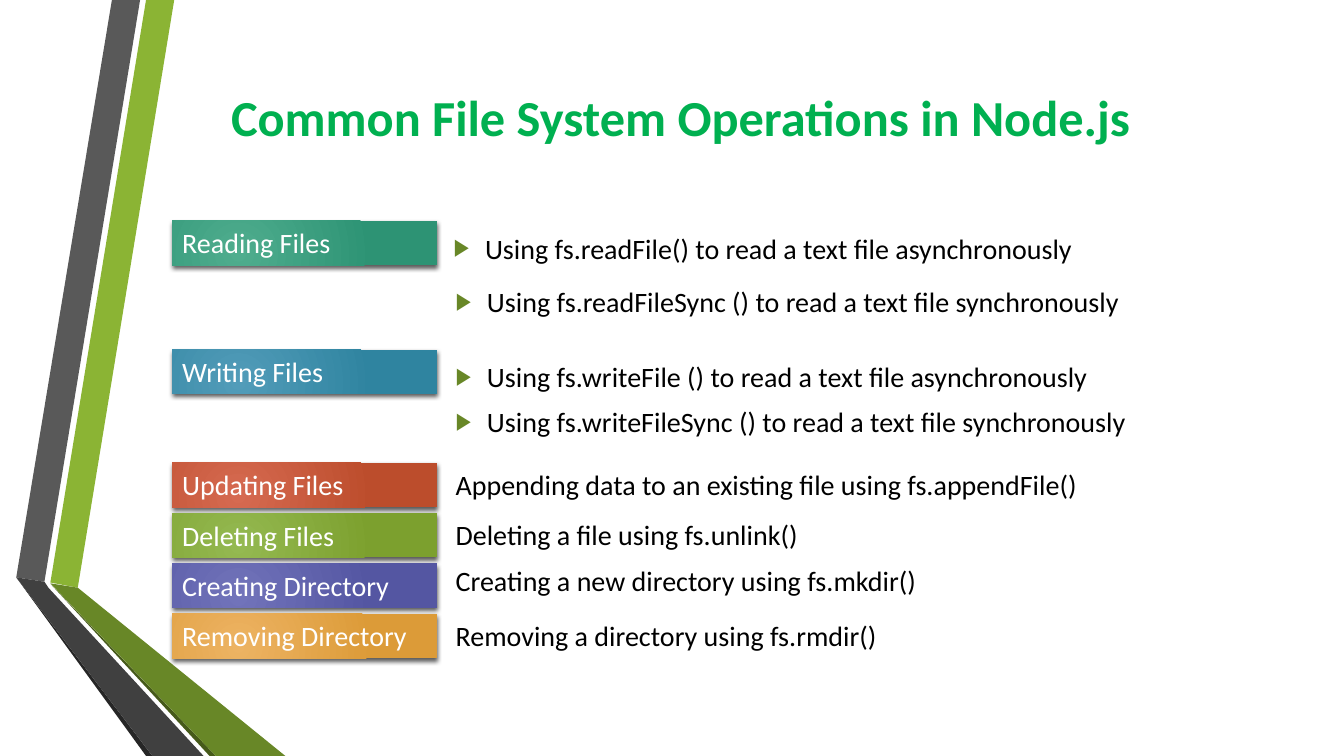
"""Build a slide that lists common file system operations in Node.js."""
import pptx
import pptx.dml.color
import pptx.enum.shapes
import pptx.enum.text
import pptx.oxml
import pptx.oxml.ns
import pptx.util

Cm = pptx.util.Cm
Pt = pptx.util.Pt
RGBColor = pptx.dml.color.RGBColor
ANCHOR = pptx.enum.text.MSO_ANCHOR
SPACE = pptx.oxml.ns.nsdecls("a")

WHITE = RGBColor(0xFF, 0xFF, 0xFF)
BLACK = RGBColor(0x00, 0x00, 0x00)
GREEN = RGBColor(0x00, 0xB0, 0x50)
LIME = RGBColor(0x8B, 0xB4, 0x34)
OLIVE = RGBColor(0x68, 0x87, 0x27)
MOSS = RGBColor(0x46, 0x5A, 0x1A)
GREY = RGBColor(0x59, 0x59, 0x59)
DARK = RGBColor(0x40, 0x40, 0x40)
COAL = RGBColor(0x26, 0x26, 0x26)
TEAL = RGBColor(0x4F, 0xAD, 0x8E), RGBColor(0x2D, 0x93, 0x74)
BLUE = RGBColor(0x52, 0x9C, 0xB9), RGBColor(0x2F, 0x84, 0xA0)
RED = RGBColor(0xD6, 0x6A, 0x51), RGBColor(0xBC, 0x4D, 0x2C)
LEAF = RGBColor(0x94, 0xB9, 0x51), RGBColor(0x7C, 0xA0, 0x2E)
VIOLET = RGBColor(0x71, 0x73, 0xBA), RGBColor(0x54, 0x56, 0xA2)
AMBER = RGBColor(0xED, 0xB3, 0x63), RGBColor(0xDC, 0x9B, 0x38)

GLOW = (f'<a:path {SPACE} path="circle"><a:fillToRect l="50000" t="100000" '
        'r="100000" b="50000"/></a:path>')
SHADE = (f'<a:outerShdw {SPACE} blurRad="38100" dist="25400" dir="5400000" '
         'rotWithShape="0"><a:srgbClr val="000000"><a:alpha val="64000"/>'
         '</a:srgbClr></a:outerShdw>')
BULLET = (f'<a:buClr {SPACE}><a:srgbClr val="{OLIVE}"/></a:buClr>',
          f'<a:buSzPct {SPACE} val="85000"/>',
          f'<a:buFont {SPACE} typeface="Calibri"/>',
          f'<a:buChar {SPACE} char="▶"/>')

deck = pptx.Presentation()
deck.slide_width = Cm(33.86)
deck.slide_height = Cm(19.05)
slide = deck.slides.add_slide(deck.slide_layouts[6])
shapes = slide.shapes


def write(shape, text, size, color, anchor):
    """Put one line of text in a shape and return its paragraph."""
    frame = shape.text_frame
    frame.word_wrap = True
    frame.vertical_anchor = anchor
    line = frame.paragraphs[0]
    line.text = text
    line.alignment = pptx.enum.text.PP_ALIGN.LEFT
    font = line.runs[0].font
    font.name = "Calibri"
    font.size = Pt(size)
    font.color.rgb = color
    return line


bands = [
    (LIME, [(1.27, 14.68), (1.96, 14.81), (4.39, 0), (3.68, 0)]),
    (GREY, [(3.53, 0), (2.82, 0), (0.41, 14.55), (1.12, 14.66)]),
    (COAL, [(0.41, 14.55), (3.68, 19.05), (3.84, 19.05)]),
    (MOSS, [(1.27, 14.71), (5.28, 19.05), (5.44, 19.05)]),
    (OLIVE, [(1.27, 14.7), (5.44, 19.05), (7.19, 19.05), (1.96, 14.81)]),
    (DARK, [(5.13, 19.05), (1.22, 14.81), (1.12, 14.66), (0.41, 14.55),
            (3.84, 19.05)]),
]
for color, spots in bands:
    spots = [(Cm(x), Cm(y)) for x, y in spots]
    pen = shapes.build_freeform(*spots[0])
    pen.add_line_segments(spots[1:], close=True)
    band = pen.convert_to_shape()
    band.shadow.inherit = False
    band.fill.solid()
    band.fill.fore_color.rgb = color
    band.line.fill.background()

title = shapes.add_textbox(Cm(4.95), Cm(2.11), Cm(24.41), Cm(1.65))
line = write(title, "Common File System Operations in Node.js", 36, GREEN,
             ANCHOR.MIDDLE)
line.alignment = pptx.enum.text.PP_ALIGN.CENTER
line.runs[0].font.bold = True

STEP = 1.27
LAST = 11.66
topics = [
    ("Reading Files", TEAL, 5.56, [
        (11.18, 5.56, 17.25,
         "Using fs.readFile() to read a text file asynchronously"),
        (11.23, 6.91, 18.31,
         "Using fs.readFileSync () to read a text file synchronously")]),
    ("Writing Files", BLUE, 8.81, [
        (11.23, 8.79, 18.31,
         "Using fs.writeFile () to read a text file asynchronously"),
        (11.23, 9.93, 18.31,
         "Using fs.writeFileSync () to read a text file synchronously")]),
    ("Updating Files", RED, LAST, [
        (11.23, 11.53, 17.83,
         "Appending data to an existing file using fs.appendFile()")]),
    ("Deleting Files", LEAF, LAST + STEP, [
        (11.23, 12.78, 10.24, "Deleting a file using fs.unlink()")]),
    ("Creating Directory", VIOLET, LAST + 2 * STEP, [
        (11.23, 13.94, 13.34, "Creating a new directory using fs.mkdir()")]),
    ("Removing Directory", AMBER, LAST + 3 * STEP, [
        (11.23, 15.32, 12.32, "Removing a directory using fs.rmdir()")]),
]
for name, tones, top, notes in topics:
    label = shapes.add_shape(pptx.enum.shapes.MSO_SHAPE.RECTANGLE,
                             Cm(4.34), Cm(top), Cm(6.68), Cm(1.12))
    label.line.fill.background()
    label.fill.gradient()
    for stop, tone in zip(label.fill.gradient_stops, tones):
        stop.color.rgb = tone
    slant = label._element.spPr.find(".//" + pptx.oxml.ns.qn("a:lin"))
    slant.getparent().replace(slant, pptx.oxml.parse_xml(GLOW))
    label.shadow.inherit = False
    effects = label._element.spPr.find(pptx.oxml.ns.qn("a:effectLst"))
    effects.append(pptx.oxml.parse_xml(SHADE))
    write(label, name, 20, WHITE, ANCHOR.TOP)
    label.text_frame.auto_size = pptx.enum.text.MSO_AUTO_SIZE.SHAPE_TO_FIT_TEXT

    for left, high, width, text in notes:
        note = shapes.add_textbox(Cm(left), Cm(high), Cm(width), Cm(1.37))
        line = write(note, text, 20, BLACK, ANCHOR.MIDDLE)
        line.space_after = Pt(6)
        if len(notes) > 1:
            props = line._p.get_or_add_pPr()
            props.set("marL", str(Cm(0.79)))
            props.set("indent", str(-Cm(0.79)))
            for part in BULLET:
                props.append(pptx.oxml.parse_xml(part))

deck.save("out.pptx")
